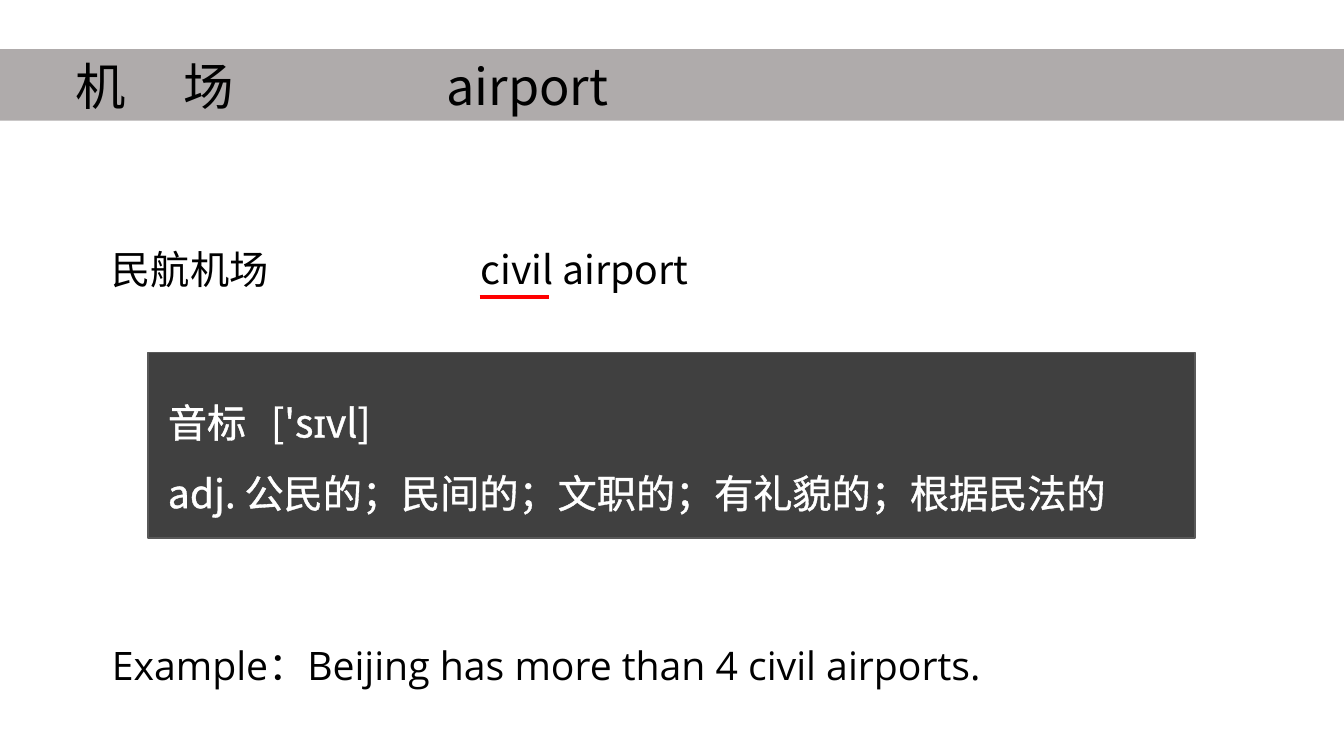
from lxml import etree
from pptx import Presentation
from pptx.dml.color import RGBColor
from pptx.enum.shapes import MSO_CONNECTOR, MSO_SHAPE
from pptx.enum.text import MSO_ANCHOR, MSO_AUTO_SIZE, PP_ALIGN
from pptx.oxml.ns import qn
from pptx.util import Cm, Pt

STRAIGHT = MSO_CONNECTOR.STRAIGHT
RECTANGLE = MSO_SHAPE.RECTANGLE
MIDDLE = MSO_ANCHOR.MIDDLE
NO_AUTOFIT = MSO_AUTO_SIZE.NONE
LEFT = PP_ALIGN.LEFT

BLACK = RGBColor(0x00, 0x00, 0x00)
WHITE = RGBColor(0xFF, 0xFF, 0xFF)
BAR_GREY = RGBColor(0xAF, 0xAB, 0xAB)
PANEL_GREY = RGBColor(0x40, 0x40, 0x40)
PANEL_EDGE = RGBColor(0x59, 0x59, 0x59)
RED = RGBColor(0xFF, 0x00, 0x00)

OPEN_SANS = "Open Sans"
NOTO_SANS = "Noto Sans CJK TC"


def add_tabs(paragraph, stops):
    """Set left tab stops on a paragraph."""
    tabs = etree.SubElement(paragraph._p.get_or_add_pPr(), qn("a:tabLst"))
    for stop in stops:
        etree.SubElement(tabs, qn("a:tab"), pos=str(int(stop)), algn="l")


def add_words(paragraph, words, font_name, size, color):
    """Append a formatted run and return it."""
    run = paragraph.add_run()
    run.text = words
    run.font.name = font_name
    run.font.size = Pt(size)
    run.font.color.rgb = color
    return run


def outline_words(run, color):
    """Give the letters of a run a thin outline."""
    line = etree.Element(qn("a:ln"), w=str(int(Pt(0.75))))
    fill = etree.SubElement(line, qn("a:solidFill"))
    etree.SubElement(fill, qn("a:srgbClr"), val=str(color))
    run._r.get_or_add_rPr().insert(0, line)


def set_heading(slide, width):
    """Turn the title into the full-width heading bar."""
    heading = slide.shapes.title
    heading.left, heading.top = Cm(0), Cm(1.24)
    heading.width, heading.height = width, Cm(1.8)
    heading.fill.solid()
    heading.fill.fore_color.rgb = BAR_GREY
    frame = heading.text_frame
    frame.auto_size = NO_AUTOFIT
    frame.vertical_anchor = MIDDLE
    frame.margin_left = Cm(1.9)
    paragraph = frame.paragraphs[0]
    add_tabs(paragraph, (Cm(2.72), Cm(9.35)))
    paragraph.alignment = LEFT
    add_words(paragraph, "机\t场\t", OPEN_SANS, 36, BLACK)
    add_words(paragraph, "airport", NOTO_SANS, 36, BLACK)


def add_phrase(slide, words, font_name, left, top, width):
    """Add one line of black text."""
    phrase = slide.shapes.add_textbox(left, top, width, Cm(1.45))
    phrase.text_frame.word_wrap = True
    add_words(phrase.text_frame.paragraphs[0], words, font_name, 28, BLACK)


def add_definition(slide, lines):
    """Add the dark panel with pronunciation and meaning."""
    panel = slide.shapes.add_shape(RECTANGLE, Cm(3.73), Cm(8.89), Cm(26.39), Cm(4.67))
    panel.shadow.inherit = False
    panel.fill.solid()
    panel.fill.fore_color.rgb = PANEL_GREY
    panel.line.color.rgb = PANEL_EDGE
    panel.line.width = Pt(1)
    frame = panel.text_frame
    frame.word_wrap = True
    frame.vertical_anchor = MIDDLE
    frame.margin_left = Cm(0.5)
    for index, parts in enumerate(lines):
        paragraph = frame.add_paragraph() if index else frame.paragraphs[0]
        add_tabs(paragraph, (Cm(2.6),))
        paragraph.alignment = LEFT
        paragraph.line_spacing = 1.5
        for words, font_name in parts:
            outline_words(add_words(paragraph, words, font_name, 28, WHITE), WHITE)


def add_underline(slide, left, right, height):
    """Draw the red rule under the word being explained."""
    underline = slide.shapes.add_connector(STRAIGHT, left, height, right, height)
    underline.line.color.rgb = RED
    underline.line.width = Pt(2.5)
    etree.SubElement(underline._element.spPr, qn("a:effectLst"))


def main():
    """Build the vocabulary slide."""
    deck = Presentation()
    deck.slide_width, deck.slide_height = Cm(33.87), Cm(19.05)
    slide = deck.slides.add_slide(deck.slide_layouts[5])
    set_heading(slide, deck.slide_width)
    add_phrase(slide, "民航机场", OPEN_SANS, Cm(2.57), Cm(6.05), Cm(4.8))
    add_phrase(slide, "civil airport", NOTO_SANS, Cm(11.86), Cm(6.05), Cm(8.31))
    add_definition(slide, (
        (("音标\t", OPEN_SANS), ("['sɪvl]", NOTO_SANS)),
        (("adj. ", NOTO_SANS), ("公民的；民间的；文职的；有礼貌的；根据民法的", OPEN_SANS)),
    ))
    add_phrase(slide, "Example：Beijing has more than 4 civil airports.",
               OPEN_SANS, Cm(2.57), Cm(16.03), Cm(28.02))
    add_underline(slide, Cm(12.09), Cm(13.84), Cm(7.49))
    deck.save("out.pptx")


if __name__ == "__main__":
    main()
